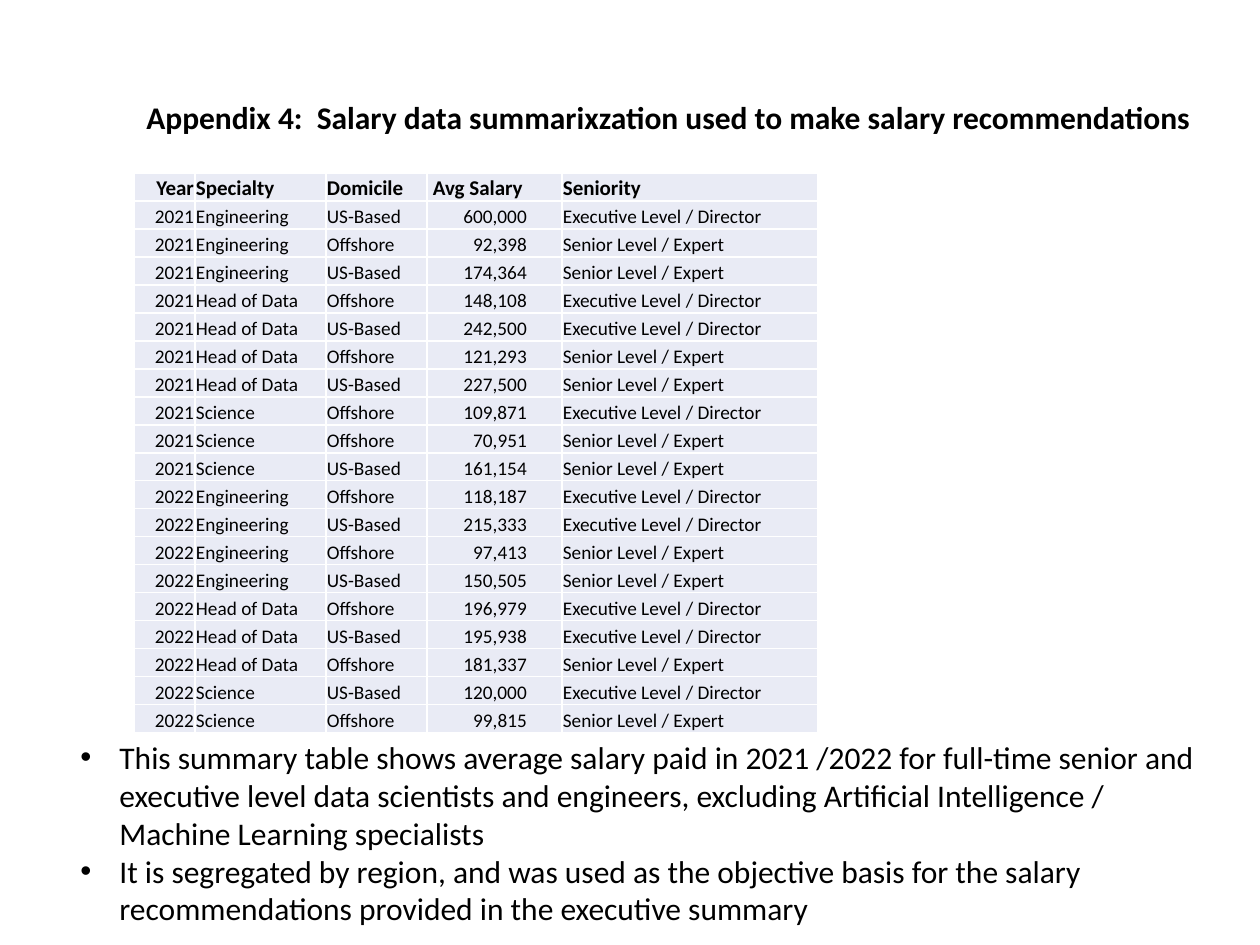
import dataclasses
import typing

import lxml.etree
import pptx
import pptx.dml.color
import pptx.enum.text
import pptx.oxml.ns
import pptx.util

EMU_PER_PX = 914400 / 126
FONT = "Calibri"
COLORS = {"text": "000000", "cell": "E9EBF5", "border": "FFFFFF"}
ALIGN = pptx.enum.text.PP_ALIGN


class Salary(typing.NamedTuple):
    year: int
    specialty: str
    domicile: str
    average: int
    seniority: str


@dataclasses.dataclass
class Column:
    title: str
    width: int
    align: ALIGN = ALIGN.LEFT
    title_align: ALIGN = ALIGN.LEFT
    title_left: int = 1
    right: int = 1


@dataclasses.dataclass
class TextBox:
    x: int
    y: int
    w: int
    h: int
    lines: list[str]
    bold: bool = False
    bullets: bool = False


EXECUTIVE = "Executive Level / Director"
SENIOR = "Senior Level / Expert"
SALARIES = [
    Salary(2021, "Engineering", "US-Based", 600000, EXECUTIVE),
    Salary(2021, "Engineering", "Offshore", 92398, SENIOR),
    Salary(2021, "Engineering", "US-Based", 174364, SENIOR),
    Salary(2021, "Head of Data", "Offshore", 148108, EXECUTIVE),
    Salary(2021, "Head of Data", "US-Based", 242500, EXECUTIVE),
    Salary(2021, "Head of Data", "Offshore", 121293, SENIOR),
    Salary(2021, "Head of Data", "US-Based", 227500, SENIOR),
    Salary(2021, "Science", "Offshore", 109871, EXECUTIVE),
    Salary(2021, "Science", "Offshore", 70951, SENIOR),
    Salary(2021, "Science", "US-Based", 161154, SENIOR),
    Salary(2022, "Engineering", "Offshore", 118187, EXECUTIVE),
    Salary(2022, "Engineering", "US-Based", 215333, EXECUTIVE),
    Salary(2022, "Engineering", "Offshore", 97413, SENIOR),
    Salary(2022, "Engineering", "US-Based", 150505, SENIOR),
    Salary(2022, "Head of Data", "Offshore", 196979, EXECUTIVE),
    Salary(2022, "Head of Data", "US-Based", 195938, EXECUTIVE),
    Salary(2022, "Head of Data", "Offshore", 181337, SENIOR),
    Salary(2022, "Science", "US-Based", 120000, EXECUTIVE),
    Salary(2022, "Science", "Offshore", 99815, SENIOR),
]
COLUMNS = [
    Column("Year", 61, ALIGN.RIGHT, ALIGN.RIGHT),
    Column("Specialty", 131),
    Column("Domicile", 101),
    Column("Avg Salary", 135, ALIGN.RIGHT, title_left=6, right=35),
    Column("Seniority", 256),
]
TABLE_X, TABLE_Y, ROW_H = 134, 173, 28

TITLE = TextBox(134, 92, 1071, 50, [
    "Appendix 4:  Salary data summarixzation used to make salary recommendations",
], bold=True)
NOTES = TextBox(68, 732, 1166, 204, [
    "This summary table shows average salary paid in 2021 /2022 for full-time senior and "
    "executive level data scientists and engineers, excluding Artificial Intelligence / "
    "Machine Learning specialists",
    "It is segregated by region, and was used as the objective basis for the salary "
    "recommendations provided in the executive summary",
], bullets=True)


def px(n: int) -> int:
    return round(n * EMU_PER_PX)


def rgb(name: str) -> pptx.dml.color.RGBColor:
    return pptx.dml.color.RGBColor.from_string(COLORS[name])


def sub(parent, tag: str, **attrs: str):
    return lxml.etree.SubElement(parent, pptx.oxml.ns.qn(tag), **attrs)


def put_text(p, text: str, *, size: int, bold: bool = False, align=None, bullet: bool = False):
    r = p.add_run()
    r.text = text
    r.font.name, r.font.size, r.font.bold = FONT, pptx.util.Pt(size), bold
    r.font.color.rgb = rgb("text")
    p.alignment = align
    if bullet:
        pPr = p._p.get_or_add_pPr()
        pPr.set("marL", str(px(39)))
        pPr.set("indent", str(-px(39)))
        sub(pPr, "a:buFont", typeface="Arial")
        sub(pPr, "a:buChar", char="•")


def add_text_box(s, box: TextBox) -> None:
    sp = s.shapes.add_textbox(px(box.x), px(box.y), px(box.w), px(box.h))
    tf = sp.text_frame
    tf.word_wrap = True
    tf.auto_size = pptx.enum.text.MSO_AUTO_SIZE.SHAPE_TO_FIT_TEXT
    for i, line in enumerate(box.lines):
        p = tf.add_paragraph() if i else tf.paragraphs[0]
        put_text(p, line, size=18, bold=box.bold, bullet=box.bullets)


def style_cell(cell, left: int, right: int) -> None:
    cell.margin_left, cell.margin_right = px(left), px(right)
    cell.margin_top, cell.margin_bottom = px(1), 0
    cell.vertical_anchor = pptx.enum.text.MSO_ANCHOR.BOTTOM
    tcPr = cell._tc.get_or_add_tcPr()
    for side in ("a:lnL", "a:lnR", "a:lnT", "a:lnB"):
        ln = sub(tcPr, side, w=str(pptx.util.Pt(1)))
        sub(sub(ln, "a:solidFill"), "a:srgbClr", val=COLORS["border"])
    cell.fill.solid()
    cell.fill.fore_color.rgb = rgb("cell")


def add_salary_table(s, columns: list[Column], salaries: list[Salary]) -> None:
    n_rows = len(salaries) + 1
    width = sum(c.width for c in columns)
    table = s.shapes.add_table(n_rows, len(columns), px(TABLE_X), px(TABLE_Y),
                               px(width), px(ROW_H * n_rows)).table
    table.first_row = table.horz_banding = False
    for row in table.rows:
        row.height = px(ROW_H)
    for j, col in enumerate(columns):
        table.columns[j].width = px(col.width)
        head = table.cell(0, j)
        style_cell(head, col.title_left, 1)
        put_text(head.text_frame.paragraphs[0], col.title, size=12, bold=True,
                 align=col.title_align)
        for i, salary in enumerate(salaries, 1):
            value = f"{salary.average:,}" if j == 3 else str(salary[j])
            cell = table.cell(i, j)
            style_cell(cell, 1, col.right)
            put_text(cell.text_frame.paragraphs[0], value, size=11, align=col.align)


def main() -> None:
    prs = pptx.Presentation()
    prs.slide_width, prs.slide_height = px(1260), px(945)
    s = prs.slides.add_slide(prs.slide_layouts[6])

    # Heading and explanatory notes
    add_text_box(s, TITLE)
    add_text_box(s, NOTES)

    # Average salaries by year, specialty and region
    add_salary_table(s, COLUMNS, SALARIES)

    prs.save("out.pptx")


if __name__ == "__main__":
    main()
